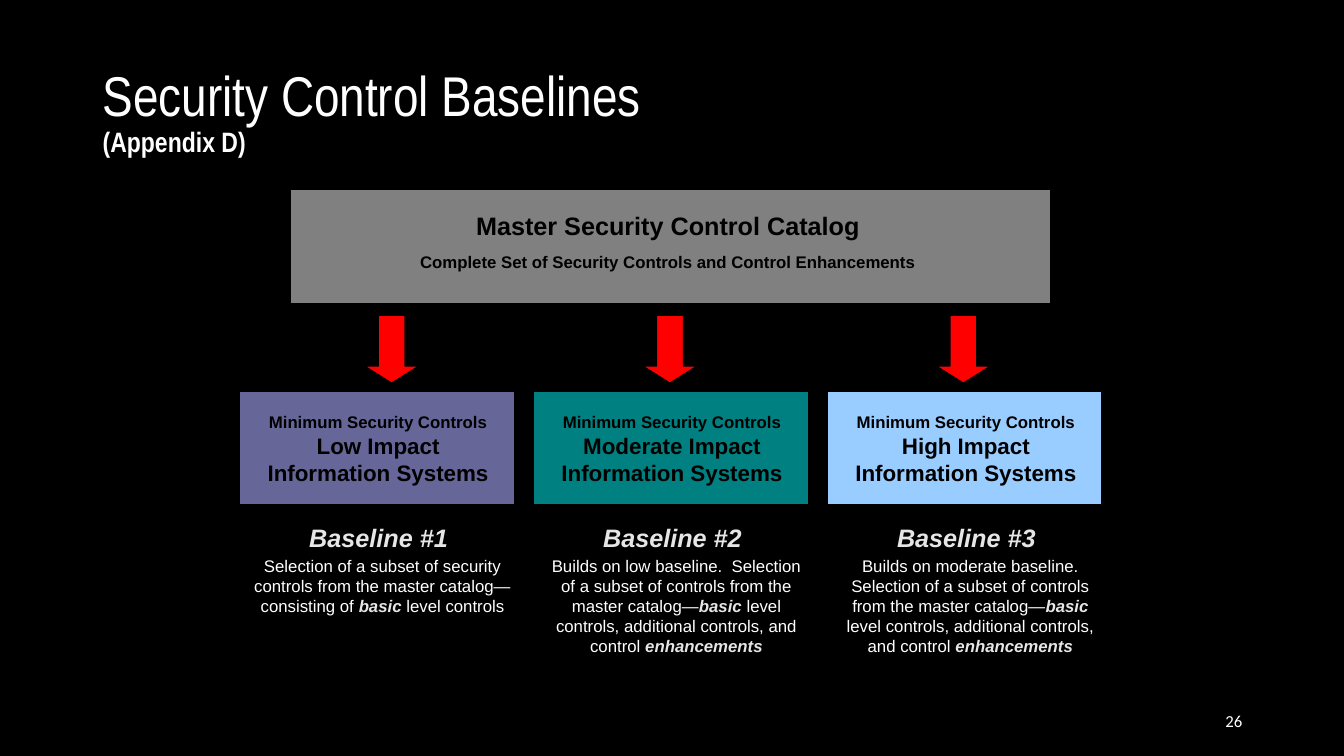
import pptx
import pptx.util
import pptx.dml.color
import pptx.enum.shapes
import pptx.enum.text
from dataclasses import dataclass

Inches = pptx.util.Inches
Pt = pptx.util.Pt
ALIGN = pptx.enum.text.PP_ALIGN
ANCHOR = pptx.enum.text.MSO_ANCHOR
SHAPE = pptx.enum.shapes.MSO_SHAPE


@dataclass(frozen=True)
class Theme:
    black: str = "000000"
    white: str = "FFFFFF"
    accent: str = "E7E6E6"
    arrow: str = "FF0000"
    catalog: str = "808080"
    low: str = "666699"
    moderate: str = "008080"
    high: str = "99CCFF"
    font: str = "Arial"
    title_font: str = "Arial Narrow"
    number_font: str = "Calibri"
    title: int = 40
    subtitle: int = 20
    heading: int = 18
    level: int = 16
    body: int = 12


THEME = Theme()
FIRST_COLUMN, COLUMN_PITCH = 2.38, 2.915

# Each baseline: level, fill, arrow left, description with *emphasis*
BASELINES = [
    ("Low", THEME.low, 3.62,
     "Selection of a subset of security controls from the master catalog—"
     "consisting of *basic* level controls"),
    ("Moderate", THEME.moderate, 6.38,
     "Builds on low baseline.  Selection of a subset of controls from the "
     "master catalog—*basic* level controls, additional controls, and "
     "control *enhancements*"),
    ("High", THEME.high, 9.29,
     "Builds on moderate baseline. Selection of a subset of controls from the "
     "master catalog—*basic* level controls, additional controls, and "
     "control *enhancements*"),
]


def rgb(value):
    return pptx.dml.color.RGBColor.from_string(value)


def style(span, size, color, bold=False, italic=False, font=THEME.font):
    span.font.name = font
    span.font.size = Pt(size)
    span.font.color.rgb = rgb(color)
    span.font.bold = bold
    span.font.italic = italic


def add_box(slide, left, top, width, height, anchor=ANCHOR.TOP):
    box = slide.shapes.add_textbox(
        Inches(left), Inches(top), Inches(width), Inches(height))
    box.text_frame.word_wrap = True
    box.text_frame.vertical_anchor = anchor
    return box.text_frame


def add_block(slide, kind, left, top, width, height, fill):
    block = slide.shapes.add_shape(
        kind, Inches(left), Inches(top), Inches(width), Inches(height))
    block.shadow.inherit = False
    block.fill.solid()
    block.fill.fore_color.rgb = rgb(fill)
    block.line.color.rgb = rgb(THEME.black)
    block.line.width = Pt(0.75)
    return block


def add_lines(frame, lines, color, italic=False, gap=0):
    """Fill a frame with centred bold lines, given as (text, size)."""
    frame.text = "\n".join(text for text, size in lines)
    for index, (para, (text, size)) in enumerate(zip(frame.paragraphs, lines)):
        para.alignment = ALIGN.CENTER
        if index:
            para.space_before = Pt(gap)
        style(para.runs[0], size, color, bold=True, italic=italic)


def add_description(frame, text):
    """Set centred body text; parts between asterisks are emphasised."""
    para = frame.paragraphs[0]
    para.alignment = ALIGN.CENTER
    for index, part in enumerate(text.split("*")):
        if part:
            strong = index % 2 == 1
            span = para.add_run()
            span.text = part
            style(span, THEME.body, THEME.accent if strong else THEME.white,
                  bold=strong, italic=strong)


def add_title(slide):
    para = add_box(slide, 0.92, 0.4, 11.5, 1.45, ANCHOR.MIDDLE).paragraphs[0]
    para.text = "Security Control Baselines\v(Appendix D)"
    para.line_spacing = 0.9
    main_title, subtitle = para.runs
    style(main_title, THEME.title, THEME.white, font=THEME.title_font)
    style(subtitle, THEME.subtitle, THEME.white, bold=True, font=THEME.title_font)


def add_page_number(slide):
    para = add_box(slide, 9.42, 6.95, 3, 0.4, ANCHOR.MIDDLE).paragraphs[0]
    para.text = "26"
    para.alignment = ALIGN.RIGHT
    style(para.runs[0], THEME.body, THEME.white, font=THEME.number_font)


def add_catalog(slide):
    add_block(slide, SHAPE.RECTANGLE, 2.88, 1.88, 7.54, 1.13, THEME.catalog)
    add_lines(add_box(slide, 3.04, 2.04, 7.17, 0.71), [
        ("Master Security Control Catalog", THEME.heading),
        ("Complete Set of Security Controls and Control Enhancements", THEME.body),
    ], THEME.black, gap=8)


def add_baseline(slide, number, level, fill, arrow_left, description):
    left = FIRST_COLUMN + (number - 1) * COLUMN_PITCH
    # Arrow from the catalog
    arrow = add_block(slide, SHAPE.DOWN_ARROW, arrow_left, 3.13, 0.53, 0.67,
                      THEME.arrow)
    arrow.adjustments[1] = 0.314
    # Impact level card
    add_block(slide, SHAPE.RECTANGLE, left, 3.88, 2.72, 1.13, fill)
    add_lines(add_box(slide, left + 0.16, 4.04, 2.42, 0.84), [
        ("Minimum Security Controls", THEME.body),
        (f"{level} Impact", THEME.level),
        ("Information Systems", THEME.level),
    ], THEME.black)
    # Baseline heading and description
    add_lines(add_box(slide, left, 5.13, 2.75, 0.4),
              [(f"Baseline #{number}", THEME.heading)], THEME.accent, italic=True)
    add_description(add_box(slide, left, 5.46, 2.83, 1.11), description)


def main():
    deck = pptx.Presentation()
    deck.slide_width, deck.slide_height = Inches(13.33), Inches(7.5)
    slide = deck.slides.add_slide(deck.slide_layouts[6])
    slide.background.fill.solid()
    slide.background.fill.fore_color.rgb = rgb(THEME.black)

    add_title(slide)
    add_catalog(slide)
    for number, baseline in enumerate(BASELINES, start=1):
        add_baseline(slide, number, *baseline)
    add_page_number(slide)
    deck.save("out.pptx")


if __name__ == "__main__":
    main()
